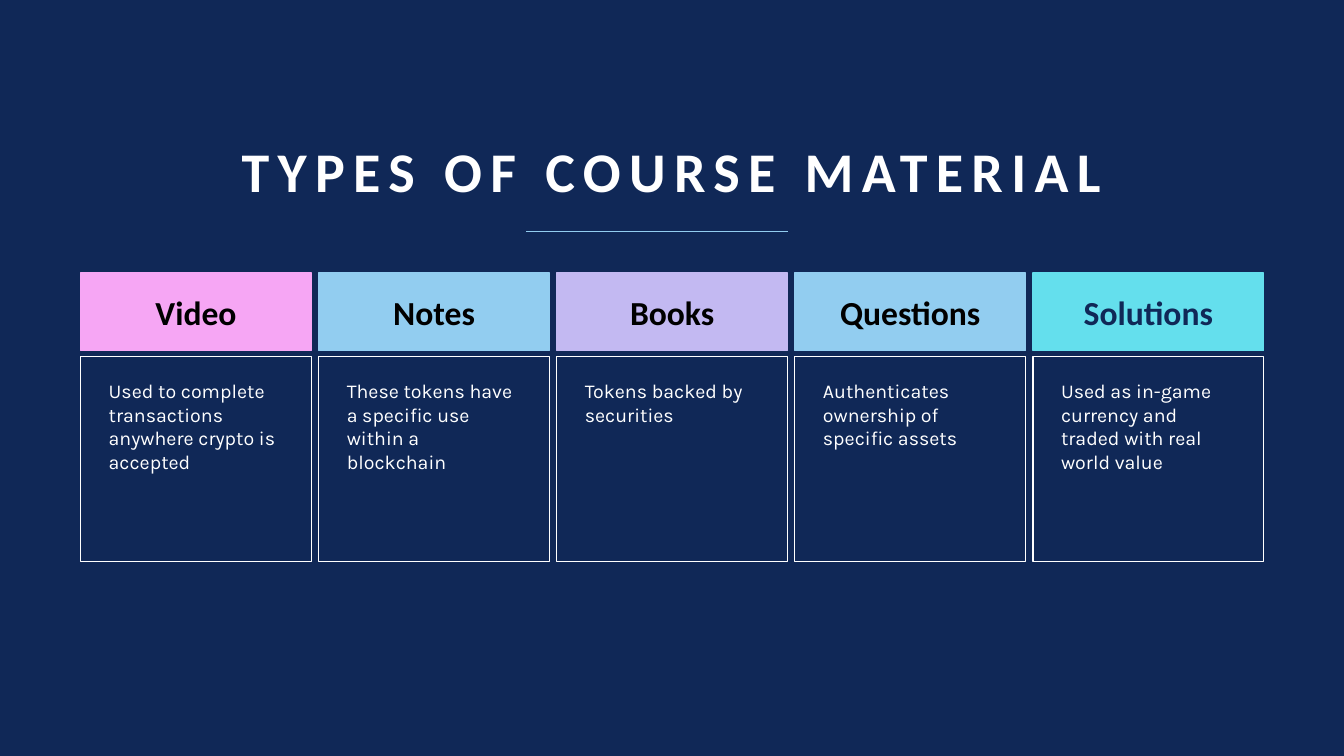
from dataclasses import dataclass

from lxml import etree
from pptx import Presentation
from pptx.dml.color import RGBColor
from pptx.enum.shapes import MSO_CONNECTOR, MSO_SHAPE
from pptx.enum.text import MSO_ANCHOR, PP_ALIGN
from pptx.oxml.ns import qn
from pptx.util import Cm, Pt

RECT = MSO_SHAPE.RECTANGLE
LINE = MSO_CONNECTOR.STRAIGHT
TOP, MID, BASE = MSO_ANCHOR.TOP, MSO_ANCHOR.MIDDLE, MSO_ANCHOR.BOTTOM
LEFT, MIDST = PP_ALIGN.LEFT, PP_ALIGN.CENTER

HUES = {
    "navy": "102857",
    "white": "FFFFFF",
    "black": "000000",
    "pink": "F6A6F4",
    "blue": "92CDF0",
    "lilac": "C3B9F2",
    "aqua": "64DFED",
}

# Column grid, in centimetres
START, PITCH, WIDTH = 2.03, 6.0, 5.82
HEAD_TOP, HEAD_TALL = 6.88, 1.96
BODY_TOP, BODY_TALL = 8.99, 5.16
PADS = (0.71, 0.56, 0.76, 0.13)


@dataclass
class Card:
    head: str
    body: str
    fill: str
    ink: str = "black"


@dataclass
class Style:
    font: str
    size: float
    bold: bool
    align: PP_ALIGN
    anchor: MSO_ANCHOR


TITLE = Style("Calibri", 40, True, MIDST, BASE)
HEAD = Style("Calibri", 24, True, MIDST, MID)
BODY = Style("Karla", 14, False, LEFT, TOP)

CARDS = [
    Card("Video", "Used to complete transactions anywhere crypto is accepted", "pink"),
    Card("Notes", "These tokens have a specific use within a blockchain", "blue"),
    Card("Books", "Tokens backed by securities", "lilac"),
    Card("Questions", "Authenticates ownership of specific assets", "blue"),
    Card("Solutions", "Used as in-game currency and traded with real world value",
         "aqua", "navy"),
]


def hue(name: str) -> RGBColor:
    return RGBColor.from_string(HUES[name])


def write(shape, text: str, style: Style, ink: str):
    frame = shape.text_frame
    frame.word_wrap = True
    frame.vertical_anchor = style.anchor
    para = frame.paragraphs[0]
    para.alignment = style.align
    run = para.add_run()
    run.text = text
    run.font.name = style.font
    run.font.size = Pt(style.size)
    run.font.bold = style.bold
    run.font.color.rgb = hue(ink)
    return run


def add_box(slide, left: float, top: float, tall: float, edge: str):
    box = slide.shapes.add_shape(RECT, Cm(left), Cm(top), Cm(WIDTH), Cm(tall))
    box.shadow.inherit = False
    box.line.color.rgb = hue(edge)
    box.line.width = Pt(1)
    return box


def add_card(slide, card: Card, left: float) -> None:
    head = add_box(slide, left, HEAD_TOP, HEAD_TALL, card.fill)
    head.fill.solid()
    head.fill.fore_color.rgb = hue(card.fill)
    write(head, card.head, HEAD, card.ink)

    body = add_box(slide, left, BODY_TOP, BODY_TALL, "white")
    body.fill.background()
    write(body, card.body, BODY, "white")
    frame = body.text_frame
    (frame.margin_left, frame.margin_top,
     frame.margin_right, frame.margin_bottom) = map(Cm, PADS)


def add_title(slide) -> None:
    box = slide.shapes.add_textbox(Cm(4.6), Cm(2.31), Cm(24.66), Cm(2.97))
    run = write(box, "TYPES OF COURSE MATERIAL", TITLE, "white")
    box.text_frame.paragraphs[0].line_spacing = 0.9
    run.font._element.set("spc", "600")

    # Rule under the title
    rule = slide.shapes.add_connector(LINE, Cm(13.26), Cm(5.82), Cm(19.86), Cm(5.82))
    rule.line.color.rgb = hue("blue")
    rule.line.width = Pt(0.5)
    etree.SubElement(rule._element.spPr, qn("a:effectLst"))


def main() -> None:
    deck = Presentation()
    deck.slide_width, deck.slide_height = Cm(33.87), Cm(19.05)
    slide = deck.slides.add_slide(deck.slide_layouts[6])
    back = slide.background.fill
    back.solid()
    back.fore_color.rgb = hue("navy")

    add_title(slide)
    for col, card in enumerate(CARDS):
        add_card(slide, card, START + col * PITCH)
    deck.save("out.pptx")


if __name__ == "__main__":
    main()
